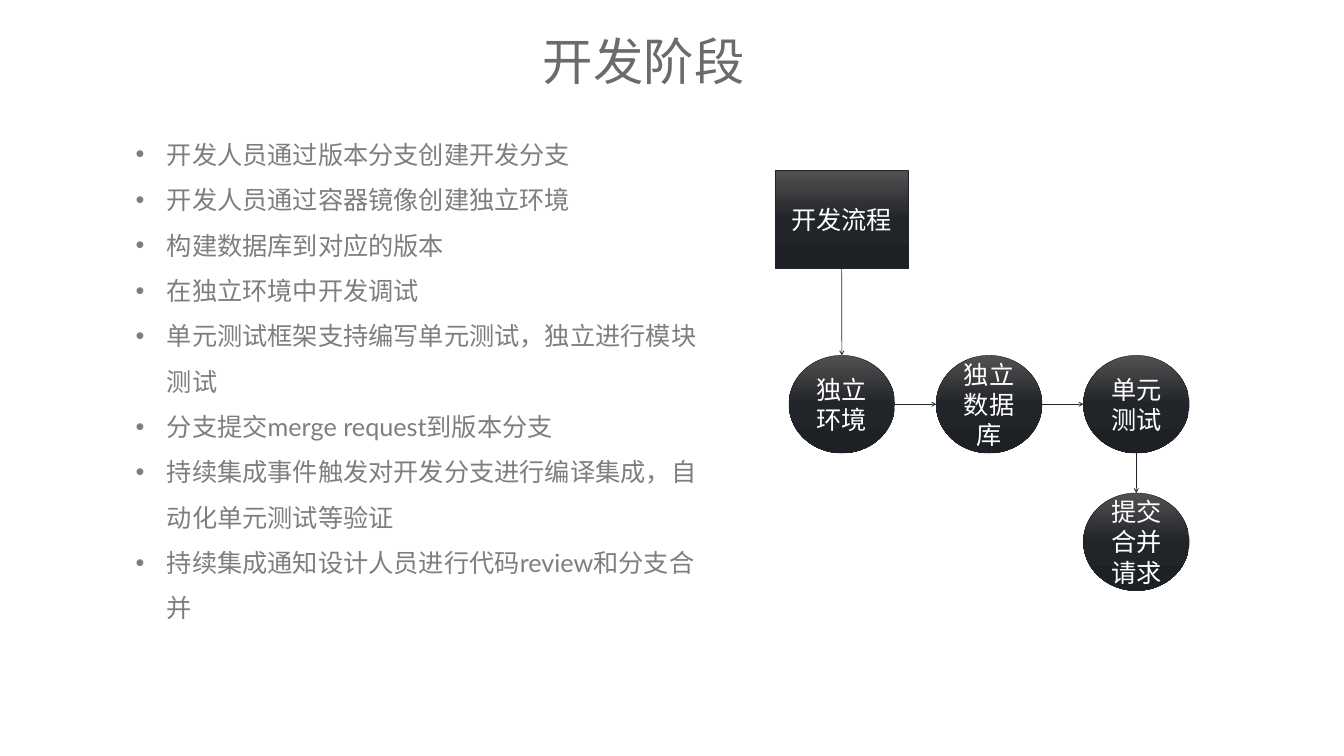
from copy import deepcopy

from lxml import etree
from pptx import Presentation
from pptx.dml.color import RGBColor
from pptx.enum import shapes, text
from pptx.oxml import ns
from pptx.util import Inches, Pt

TITLE_GREY = RGBColor(0x6B, 0x6B, 0x6B)
BODY_GREY = RGBColor(0x7E, 0x7E, 0x7E)
WHITE = RGBColor(0xFF, 0xFF, 0xFF)
DARK = RGBColor(0x21, 0x24, 0x28)
GRADIENT = [
    (0, RGBColor(0x50, 0x51, 0x52)),
    (0.5, DARK),
    (1, RGBColor(0x1D, 0x20, 0x24)),
]
CJK_FONT = "Noto Sans CJK SC"


def write(paragraph, words, size=36, font="Lato", color=WHITE, align=text.PP_ALIGN.CENTER):
    paragraph.alignment = align
    run = paragraph.add_run()
    run.text = words
    run.font.size = Pt(size)
    run.font.color.rgb = color
    run.font.name = font
    etree.SubElement(run.font._element, ns.qn("a:ea"), typeface=CJK_FONT)


def place(shape, left, top, width, height):
    shape.left, shape.top = Inches(left), Inches(top)
    shape.width, shape.height = Inches(width), Inches(height)


prs = Presentation()
prs.slide_width, prs.slide_height = Inches(26.66), Inches(15)
slide = prs.slides.add_slide(prs.slide_layouts[1])

heading = slide.shapes.title
place(heading, 10.75, 0.59, 4.04, 1.21)
frame = heading.text_frame
frame.margin_left = frame.margin_right = frame.margin_top = frame.margin_bottom = 0
frame.vertical_anchor = text.MSO_ANCHOR.MIDDLE
frame.auto_size = text.MSO_AUTO_SIZE.NONE
frame.word_wrap = False
write(frame.paragraphs[0], "开发阶段", size=72, font=CJK_FONT, color=TITLE_GREY)

practices = [
    "开发人员通过版本分支创建开发分支",
    "开发人员通过容器镜像创建独立环境",
    "构建数据库到对应的版本",
    "在独立环境中开发调试",
    "单元测试框架支持编写单元测试，独立进行模块测试",
    "分支提交merge request到版本分支",
    "持续集成事件触发对开发分支进行编译集成，自动化单元测试等验证",
    "持续集成通知设计人员进行代码review和分支合并",
]
practice_list = slide.placeholders[1]
place(practice_list, 2.59, 2.41, 11.73, 10.05)
frame = practice_list.text_frame
frame.auto_size = text.MSO_AUTO_SIZE.NONE
frame.vertical_anchor = text.MSO_ANCHOR.TOP
for index, practice in enumerate(practices):
    paragraph = frame.add_paragraph() if index else frame.paragraphs[0]
    properties = paragraph._p.get_or_add_pPr()
    properties.set("marL", str(Inches(0.62)))
    properties.set("indent", str(-Inches(0.62)))
    etree.SubElement(properties, ns.qn("a:buFont"), typeface="Arial")
    etree.SubElement(properties, ns.qn("a:buChar"), char="•")
    paragraph.line_spacing = 1.5
    paragraph.space_before = Pt(0)
    write(paragraph, practice, color=BODY_GREY, align=text.PP_ALIGN.LEFT)

RECT, OVAL = shapes.MSO_SHAPE.RECTANGLE, shapes.MSO_SHAPE.OVAL
steps = [
    ("开发流程", RECT, 15.37, 3.38, 2.65),
    ("独立环境", OVAL, 15.65, 7.05, 2.1),
    ("独立数据库", OVAL, 18.57, 7.05, 2.1),
    ("单元测试", OVAL, 21.49, 7.05, 2.1),
    ("提交合并请求", OVAL, 21.49, 9.78, 2.1),
]
STEP_HEIGHT = 1.94
for label, outline, left, top, width in steps:
    step = slide.shapes.add_shape(
        outline, Inches(left), Inches(top), Inches(width), Inches(STEP_HEIGHT)
    )
    step.shadow.inherit = False
    step.fill.gradient()
    step.fill.gradient_angle = 270
    stop_list = step._element.spPr.find(".//" + ns.qn("a:gsLst"))
    stop_list.append(deepcopy(stop_list[-1]))
    for stop, (position, color) in zip(step.fill.gradient_stops, GRADIENT):
        stop.position = position
        stop.color.rgb = color
    step.line.color.rgb = DARK
    step.line.width = Pt(0.5)
    step.text_frame.word_wrap = True
    step.text_frame.vertical_anchor = text.MSO_ANCHOR.MIDDLE
    write(step.text_frame.paragraphs[0], label)

for (_, _, left, top, width), (_, _, next_left, next_top, next_width) in zip(steps, steps[1:]):
    if top == next_top:
        middle = top + STEP_HEIGHT / 2
        ends = (left + width, middle, next_left, middle)
    else:
        ends = (left + width / 2, top + STEP_HEIGHT, next_left + next_width / 2, next_top)
    arrow = slide.shapes.add_connector(
        shapes.MSO_CONNECTOR.STRAIGHT, *[Inches(end) for end in ends]
    )
    arrow.line.color.rgb = DARK
    arrow.line.width = Pt(1)
    etree.SubElement(arrow.line._get_or_add_ln(), ns.qn("a:tailEnd"), type="arrow")
    etree.SubElement(arrow._element.spPr, ns.qn("a:effectLst"))

prs.save("out.pptx")
